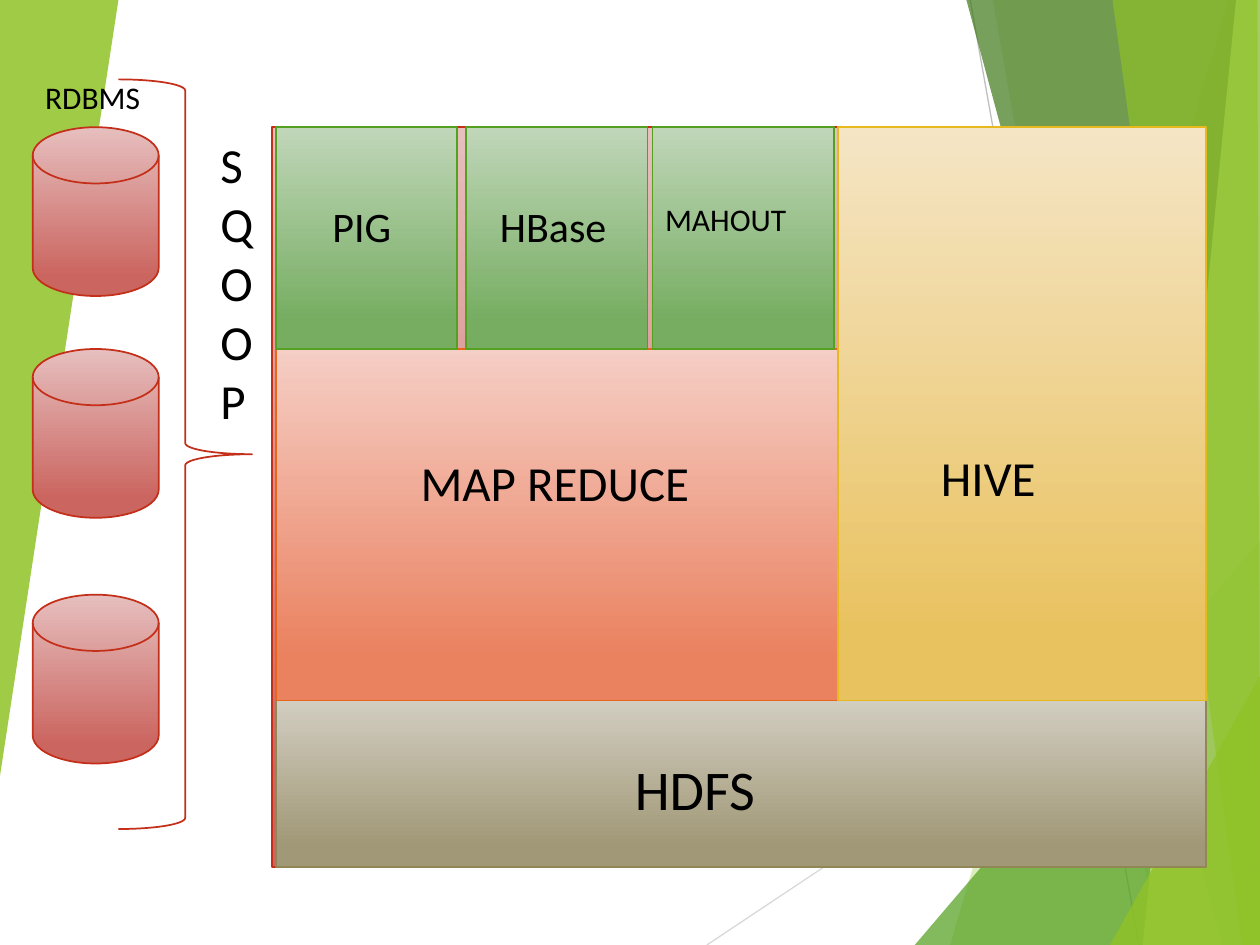
from lxml import etree
from pptx import Presentation
from pptx.dml.color import RGBColor
from pptx.enum.shapes import MSO_CONNECTOR, MSO_SHAPE
from pptx.enum.text import MSO_AUTO_SIZE
from pptx.oxml.ns import qn
from pptx.util import Inches, Pt


def rgb(color):
    return RGBColor.from_string(color)


def add_block(preset, box, top_color, bottom_color, outline):
    """Add a preset shape with a vertical gradient and a thin outline."""
    block = shapes.add_shape(preset, *map(Inches, box))
    block.shadow.inherit = False
    block.fill.gradient()
    block.fill.gradient_angle = 270
    stops = block.fill.gradient_stops
    for stop, position, color in zip(stops, (0, 0.88), (top_color, bottom_color)):
        stop.position = position
        stop.color.rgb = rgb(color)
    block.line.color.rgb = rgb(outline)
    block.line.width = Pt(1)


prs = Presentation()
prs.slide_width, prs.slide_height = Inches(10), Inches(7.5)
slide = prs.slides.add_slide(prs.slide_layouts[6])
shapes = slide.shapes

# Backdrop: two thin lines and translucent green facets
for ends, color in [
    ((5.61, 7.5, 10.01, 4.57), "D9D9D9"),
    ((7.7, 0, 9.04, 7.5), "BFBFBF"),
]:
    ray = shapes.add_connector(MSO_CONNECTOR.STRAIGHT, *map(Inches, ends))
    ray.line.color.rgb = rgb(color)
    ray.line.width = Pt(0.75)
    etree.SubElement(ray.element.spPr, qn("a:effectLst"))

facets = [
    ([(9.75, 0), (7.54, 7.5), (10.01, 7.5), (10.01, 0)], "90C226", 30),
    ([(7.88, 0), (9.19, 7.5), (10.01, 7.5), (10.01, 0)], "90C226", 20),
    ([(7.26, 7.5), (10, 4.29), (10.01, 7.5)], "54A021", 72),
    ([(7.67, 0), (9.7, 7.5), (10.01, 7.5), (10.01, 0)], "3F7819", 70),
    ([(9.81, 0), (9.07, 7.5), (10.01, 7.5), (10, 0)], "C0E474", 70),
    ([(8.83, 0), (9.86, 7.5), (10, 7.5), (9.98, 0)], "90C226", 65),
    ([(8.81, 7.5), (10.01, 5.35), (10.01, 7.5)], "90C226", 80),
    ([(0, 0), (0.94, 0), (0, 6.16)], "90C226", 85),
]
for corners, color, opacity in facets:
    points = [(Inches(x), Inches(y)) for x, y in corners]
    builder = shapes.build_freeform(*points[0])
    builder.add_line_segments(points[1:], close=True)
    facet = builder.convert_to_shape()
    facet.shadow.inherit = False
    facet.fill.solid()
    facet.fill.fore_color.rgb = rgb(color)
    facet.line.fill.background()
    fill_color = facet.element.spPr.find(qn("a:solidFill")).find(qn("a:srgbClr"))
    etree.SubElement(fill_color, qn("a:alpha"), val=str(opacity * 1000))

# RDBMS cylinders
red = ("E6BFBE", "CB6560", "C42F1A")
green = ("C0D6B9", "76AD61", "54A021")
for top in (1.01, 2.77, 4.72):
    add_block(MSO_SHAPE.FLOWCHART_MAGNETIC_DISK, (0.26, top, 1, 1.34), *red)

# Blocks: red backing, HDFS, MAP REDUCE, HIVE, then the three green ones
blocks = [
    ((2.16, 1.01, 7.38, 5.87), red),
    ((2.19, 5.56, 7.38, 1.32), ("D1CDC0", "A19877", "918655")),
    ((2.19, 2.77, 4.47, 2.79), ("F5CEC5", "EA815F", "E76618")),
    ((6.65, 1.01, 2.92, 4.55), ("F5E5C5", "E9C260", "E6B91E")),
]
blocks += [((left, 1.01, 1.44, 1.76), green) for left in (2.19, 3.7, 5.18)]
for box, colors in blocks:
    add_block(MSO_SHAPE.RECTANGLE, box, *colors)

brace = shapes.add_shape(
    MSO_SHAPE.RIGHT_BRACE, Inches(0.94), Inches(0.63), Inches(1.06), Inches(5.95)
)
brace.shadow.inherit = False
brace.fill.background()
brace.line.color.rgb = rgb("C42F1A")
brace.line.width = Pt(1)

# The SQOOP box is one letter wide, so its word wraps into a column
labels = [
    ("SQOOP", (1.65, 1.02, 0.39, 2.82), 28),
    ("HDFS", (4.94, 5.94, 1.17, 0.64), 32),
    ("MAP REDUCE", (3.24, 3.54, 2.36, 0.57), 28),
    ("HIVE", (7.37, 3.5, 0.96, 0.57), 28),
    ("PIG", (2.54, 1.54, 0.67, 0.5), 24),
    ("HBase", (3.87, 1.54, 1.07, 0.5), 24),
    ("MAHOUT", (5.18, 1.54, 1.28, 0.44), 18),
    ("RDBMS", (0.26, 0.57, 1.09, 0.44), 18),
]
for text, box, size in labels:
    frame = shapes.add_textbox(*map(Inches, box)).text_frame
    stacked = text == "SQOOP"
    frame.word_wrap = stacked
    frame.auto_size = MSO_AUTO_SIZE.NONE if stacked else MSO_AUTO_SIZE.SHAPE_TO_FIT_TEXT
    run = frame.paragraphs[0].add_run()
    run.text = text
    run.font.name = "Calibri"
    run.font.size = Pt(size)
    run.font.color.rgb = rgb("000000")

prs.save("out.pptx")
